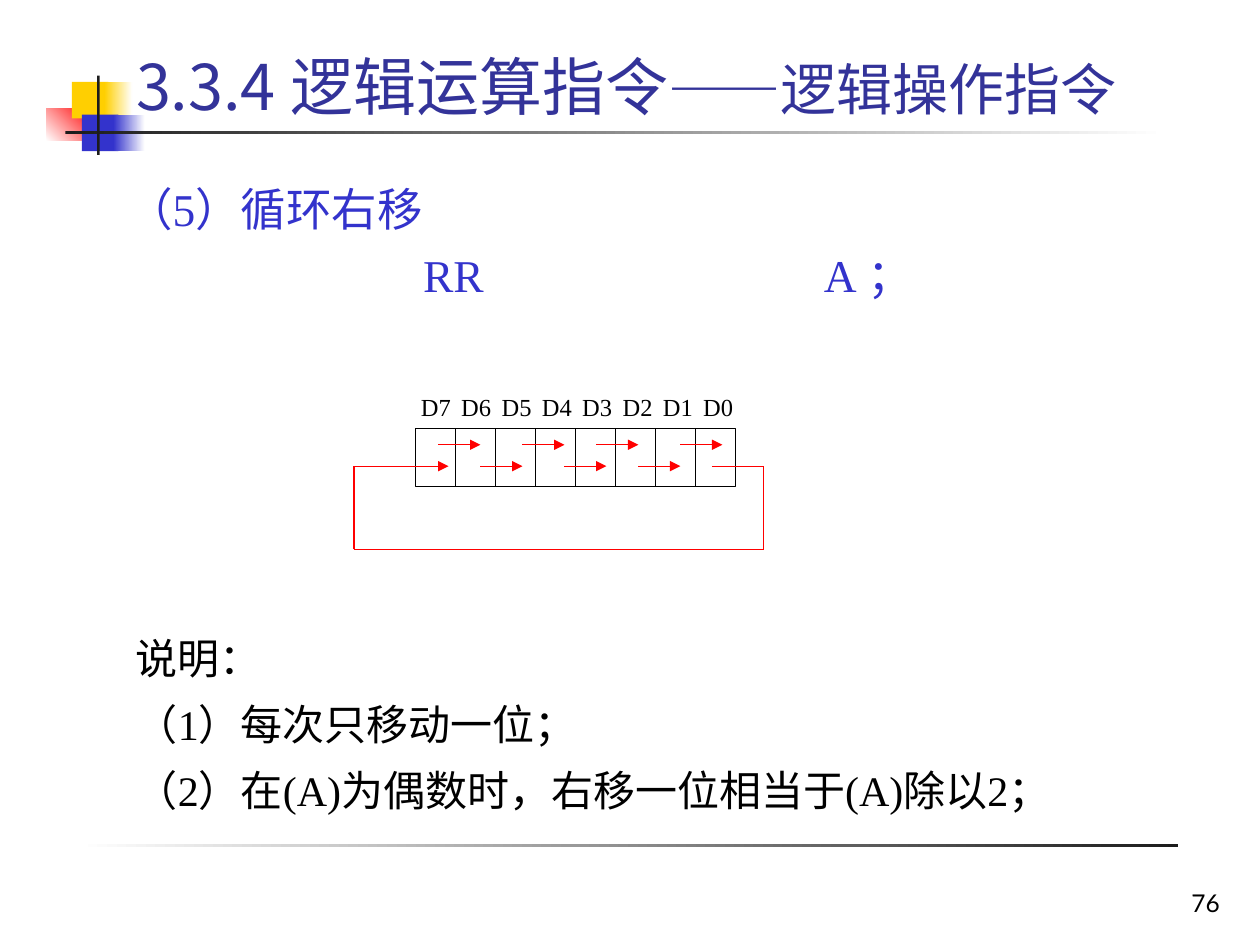
from lxml.etree import SubElement
from pptx import Presentation
from pptx.dml.color import RGBColor
from pptx.enum.shapes import MSO_CONNECTOR, MSO_SHAPE
from pptx.enum.text import MSO_ANCHOR, MSO_AUTO_SIZE, PP_ALIGN
from pptx.oxml.ns import qn
from pptx.util import Inches, Pt

WHITE = RGBColor(0xFF, 0xFF, 0xFF)
BLACK = RGBColor(0x00, 0x00, 0x00)
INK = RGBColor(0x1C, 0x1C, 0x1C)
RED = RGBColor(0xFF, 0x00, 0x00)
YELLOW = RGBColor(0xFF, 0xCF, 0x01)
BLUE = RGBColor(0x33, 0x33, 0xCC)
NAVY = RGBColor(0x33, 0x33, 0x99)
SERIF = "Times New Roman"
SANS = "Noto Sans CJK JP"


def apply(target, values):
    """Set each attribute of the target from a dict."""
    for name, value in values.items():
        setattr(target, name, value)


def add_block(slide, box, colors=(), angle=0):
    """Add a borderless rectangle with a plain or two-colour gradient fill."""
    shape = slide.shapes.add_shape(MSO_SHAPE.RECTANGLE, *map(Inches, box))
    shape.shadow.inherit = False
    shape.line.fill.background()
    if len(colors) == 2:
        shape.fill.gradient()
        shape.fill.gradient_angle = angle
        for stop, color in zip(shape.fill.gradient_stops, colors):
            stop.color.rgb = color
    elif colors:
        shape.fill.solid()
        shape.fill.fore_color.rgb = colors[0]
    else:
        shape.fill.background()
    return shape


def add_run(paragraph, text, size, font, color):
    """Add a formatted run to a paragraph."""
    run = paragraph.add_run()
    run.text = text
    apply(run.font, {"size": Pt(size), "name": font, "bold": False})
    run.font.color.rgb = color


def add_text(slide, box, lines, size, color, font=SERIF, wrap=True, layout=None):
    """Add a text box with one paragraph per line and return its paragraphs."""
    frame = slide.shapes.add_textbox(*map(Inches, box)).text_frame
    frame.word_wrap = wrap
    for index, line in enumerate(lines):
        paragraph = frame.add_paragraph() if index else frame.paragraphs[0]
        apply(paragraph, layout or {})
        if not index:
            paragraph.space_before = Pt(0)
        add_run(paragraph, line, size, font, color)
    return frame.paragraphs


def add_line(slide, start, end, arrow=False):
    """Add a thin red line, with an arrowhead at its end if asked."""
    points = map(Inches, (*start, *end))
    line = slide.shapes.add_connector(MSO_CONNECTOR.STRAIGHT, *points)
    line.line.width = Pt(0.75)
    line.line.color.rgb = RED
    properties = line._element.spPr
    if arrow:
        SubElement(properties.find(qn("a:ln")), qn("a:tailEnd"), type="triangle")
    SubElement(properties, qn("a:effectLst"))


def add_decoration(slide, left, top):
    """Place the coloured squares and the rules of the slide frame."""
    add_block(slide, (left, top + 0.26, 0.38, 0.26), (WHITE, RED), 45)
    add_block(slide, (left + 0.2, top + 0.05, 0.29, 0.29), (YELLOW,))
    add_block(slide, (left + 0.46, top + 0.05, 0.22, 0.29), (YELLOW, WHITE))
    add_block(slide, (left + 0.28, top + 0.31, 0.29, 0.29), (BLUE,))
    add_block(slide, (left + 0.53, top + 0.31, 0.25, 0.29), (BLUE, WHITE))
    add_block(slide, (left + 0.15, top + 0.44, 8.73, 0.02), (INK, WHITE))
    add_block(slide, (left + 0.4, top, 0.02, 0.63), (INK,))
    add_block(slide, (left + 0.25, top + 6.1, 8.73, 0.02), (WHITE, INK))


def add_title(slide, left, top, width, height):
    """Move and format the title placeholder."""
    title = slide.shapes.title
    apply(title, {"left": Inches(left), "top": Inches(top),
                  "width": Inches(width), "height": Inches(height)})
    apply(title.text_frame, {"auto_size": MSO_AUTO_SIZE.NONE, "word_wrap": True,
                             "vertical_anchor": MSO_ANCHOR.MIDDLE})
    paragraph = title.text_frame.paragraphs[0]
    paragraph.alignment = PP_ALIGN.LEFT
    add_run(paragraph, "3.3.4 逻辑运算指令", 36, SANS, NAVY)
    add_run(paragraph, "——", 32, "Arial", NAVY)
    add_run(paragraph, "逻辑操作指令", 32, SANS, NAVY)


def add_instruction(slide, box):
    """Place the instruction heading and its syntax line."""
    lines = ("（5）循环右移", "RR\tA\t；")
    syntax = add_text(slide, box, lines, 26, BLUE, layout={"space_before": Pt(6.5)})[1]
    properties = syntax._p.get_or_add_pPr()
    properties.set("marL", str(Inches(2.35)))
    tabs = SubElement(properties, qn("a:tabLst"))
    for position in (3.18, 4.25):
        SubElement(tabs, qn("a:tab"), pos=str(Inches(position)), algn="l")


def add_register(slide, left, top, width, height):
    """Draw the eight-bit register, its shift arrows and the feedback loop."""
    bits = 8
    cell = width / bits
    for index in range(bits):
        box = add_block(slide, (left + index * cell, top, cell, height))
        box.line.color.rgb = BLACK
        box.line.width = Pt(0.75)
        add_text(slide, (left - 0.06 + index * 0.32, top - 0.34, 0.44, 0.34),
                 [f"D{bits - 1 - index}"], 14, BLACK, wrap=False,
                 layout={"alignment": PP_ALIGN.CENTER})

    upper, lower, bottom = top + 0.13, top + 0.3, top + 0.96
    step = 1 / 3
    for index in range(bits - 1):
        x = left + 0.18 + index * step - (0.08 if index > 3 else 0)
        y = lower if index % 2 else upper
        add_line(slide, (x, y), (x + step, y), arrow=True)

    loop_left, loop_right = left - 0.49, left + 2.76
    add_line(slide, (loop_left, lower), (left + 0.26, lower), arrow=True)
    corners = [(left + 2.35, lower), (loop_right, lower), (loop_right, bottom),
               (loop_left, bottom), (loop_left, lower)]
    for start, end in zip(corners, corners[1:]):
        add_line(slide, start, end)


def add_notes(slide, box):
    """Place the explanation below the register."""
    lines = ("说明：", "（1）每次只移动一位；",
             "（2）在(A)为偶数时，右移一位相当于(A)除以2；")
    add_text(slide, box, lines, 24, BLACK,
             layout={"line_spacing": 1.1, "space_before": Pt(6)})


def add_page_number(slide, box):
    """Place the page number in the lower right corner."""
    paragraph = add_text(slide, box, ["76"], 14, BLACK, font="Lato",
                         layout={"alignment": PP_ALIGN.RIGHT})[0]
    paragraph._parent.vertical_anchor = MSO_ANCHOR.BOTTOM


def main():
    """Build and save the slide."""
    presentation = Presentation()
    apply(presentation, {"slide_width": Inches(10), "slide_height": Inches(7.5)})
    slide = presentation.slides.add_slide(presentation.slide_layouts[5])
    add_decoration(slide, 0.37, 0.6)
    add_title(slide, 0.98, 0.36, 8.92, 0.63)
    add_instruction(slide, (0.91, 1.39, 8.42, 1.27))
    add_register(slide, 3.3, 3.4, 2.54, 0.46)
    add_notes(slide, (0.98, 4.93, 8.5, 1.56))
    add_page_number(slide, (7.7, 6.83, 2.08, 0.5))
    presentation.save("out.pptx")


if __name__ == "__main__":
    main()
